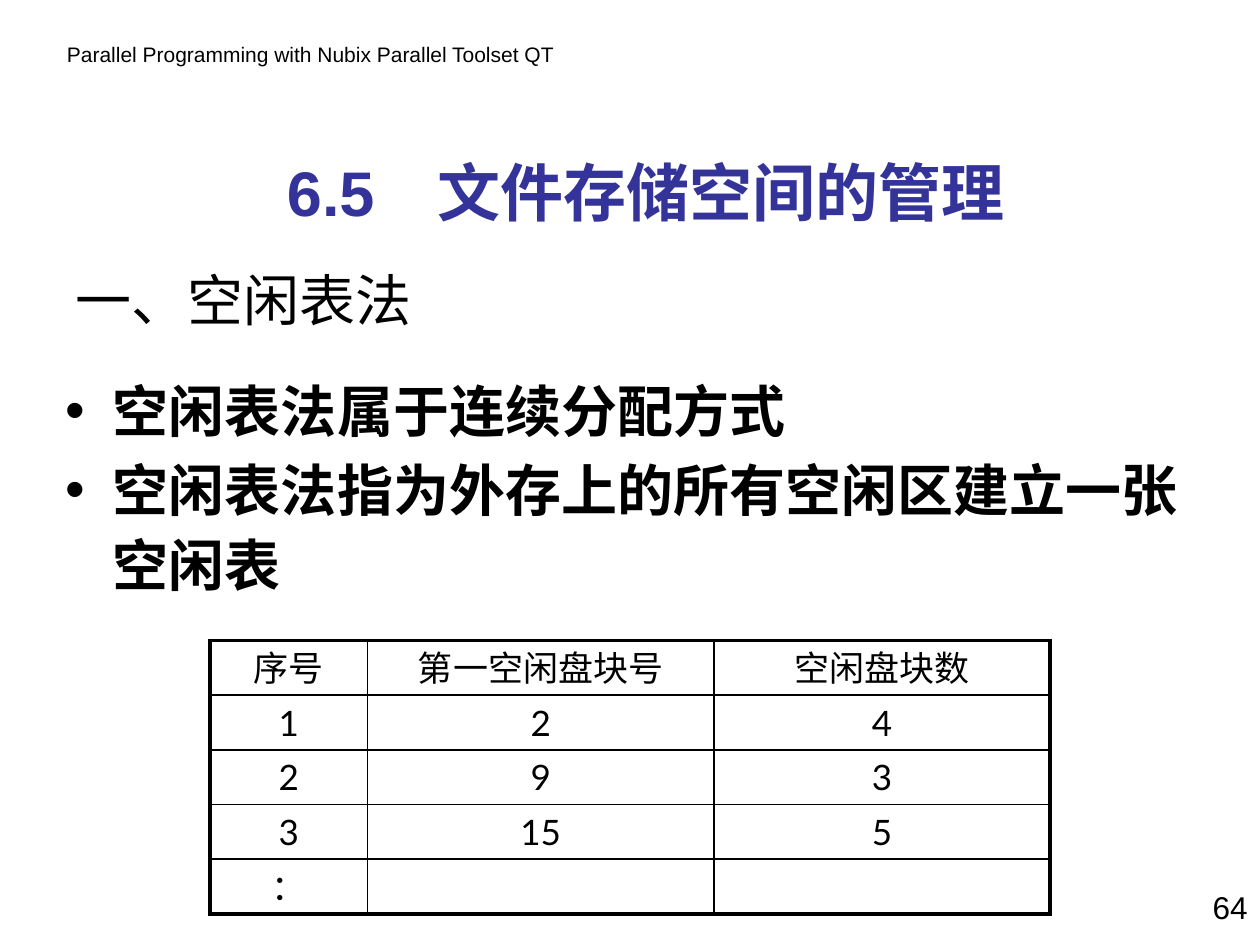
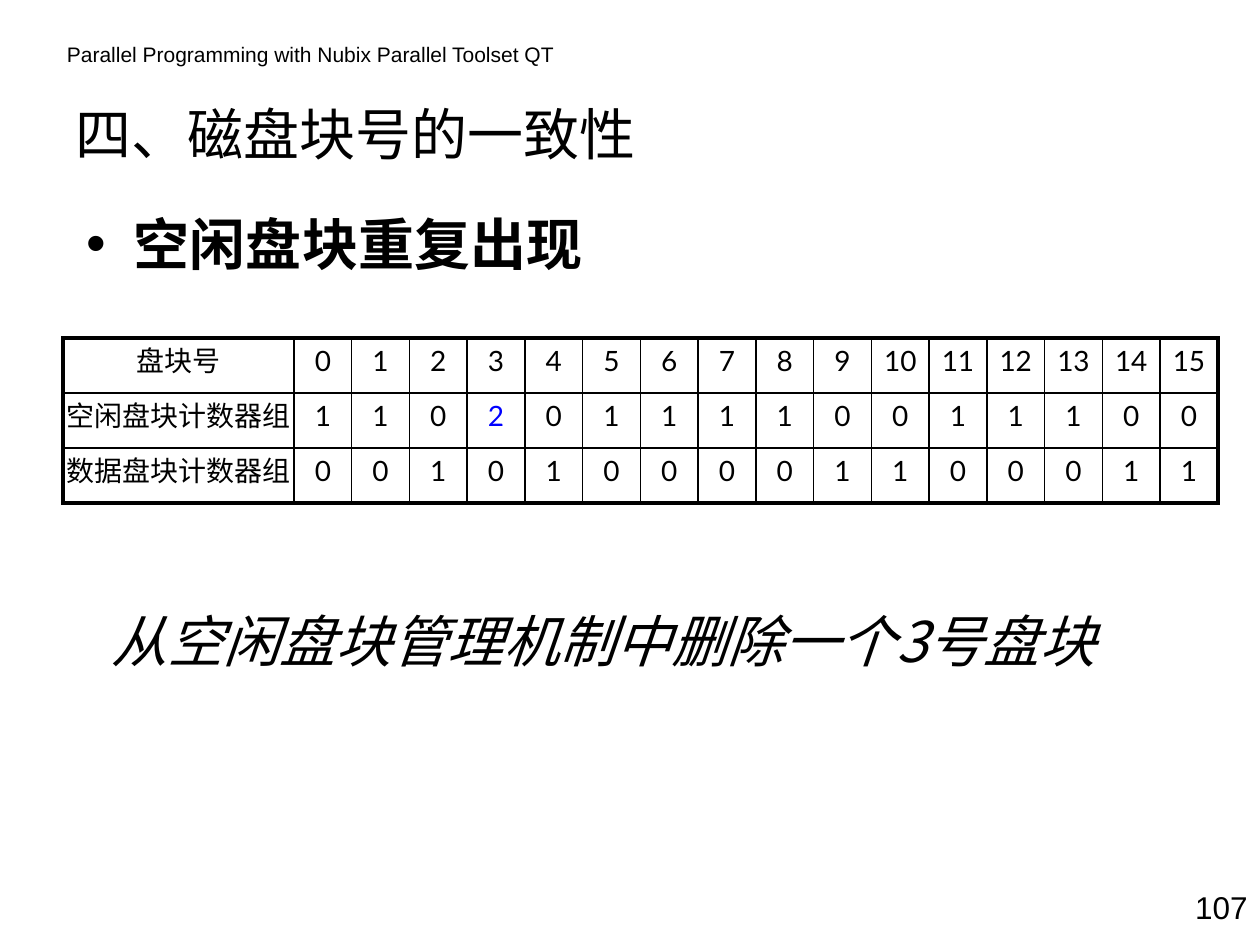
import dataclasses

import lxml.etree
import pptx
import pptx.dml.color
import pptx.enum.text
import pptx.oxml.ns
import pptx.util

Pt = pptx.util.Pt
Align = pptx.enum.text.PP_ALIGN
Anchor = pptx.enum.text.MSO_ANCHOR
qn = pptx.oxml.ns.qn

CELL = pptx.util.Inches(1) // 12  # the slide is a grid of 120 columns by 90 rows


@dataclasses.dataclass(frozen=True)
class Theme:
    ink: str = "000000"
    head: str = "333399"
    mark: str = "0000FF"
    sans: str = "Arial"
    grid: str = "Lato"
    han: str = "Noto Sans CJK SC"
    note: int = 12
    page: int = 18
    main: int = 32
    big: int = 36
    lead: int = 43
    thin: float = 1
    thick: float = 2.25


THEME = Theme()


def span(box):
    """Turn grid columns and rows into slide lengths."""
    return [round(n * CELL) for n in box]


def place(shape, box):
    shape.left, shape.top, shape.width, shape.height = span(box)


def write(para, text, size, face, ink=THEME.ink, east=None, bold=False, slant=False):
    """Add one run, with a face for Latin and one for Chinese."""
    run = para.add_run()
    run.text = text
    font = run.font
    font.size, font.name, font.bold, font.italic = Pt(size), face, bold, slant
    font.color.rgb = pptx.dml.color.RGBColor.from_string(ink)
    tag = lxml.etree.Element(qn("a:ea"), typeface=east or face)
    run._r.rPr.find(qn("a:latin")).addnext(tag)


def label(slide, box, text, size, align=Align.LEFT, **look):
    frame = slide.shapes.add_textbox(*span(box)).text_frame
    frame.word_wrap = True
    para = frame.paragraphs[0]
    para.alignment = align
    write(para, text, size, THEME.sans, east=THEME.han, **look)


def topic(slide, box, text):
    shape = slide.shapes.title
    place(shape, box)
    frame = shape.text_frame
    frame.vertical_anchor = Anchor.MIDDLE
    para = frame.paragraphs[0]
    para.alignment = Align.LEFT
    write(para, text, THEME.main, THEME.han)


def points(slide, box, items, remark=None):
    """Fill the body with bold bullets and an optional slanted remark."""
    shape = slide.placeholders[1]
    place(shape, box)
    frame = shape.text_frame
    frame.auto_size = pptx.enum.text.MSO_AUTO_SIZE.NONE
    frame.margin_top = pptx.util.Inches(0.09)
    lines = [(text, True) for text in items]
    if remark:
        lines.append((remark, False))
    for i, (text, dot) in enumerate(lines):
        para = frame.add_paragraph() if i else frame.paragraphs[0]
        props = para._p.get_or_add_pPr()
        props.set("marL", str(pptx.util.Inches(0.38)))
        props.set("indent", str(pptx.util.Inches(-0.38 if dot else -0.18)))
        if dot:
            lxml.etree.SubElement(props, qn("a:buFont"), typeface=THEME.sans)
            lxml.etree.SubElement(props, qn("a:buChar"), char="•")
        else:
            lxml.etree.SubElement(props, qn("a:buNone"))
        para.line_spacing = Pt(THEME.lead)
        para.space_before = Pt((2 if dot else 184) if i else 0)
        write(para, text, THEME.main, THEME.han, bold=dot, slant=not dot)


def edge(cell, sides):
    """Draw the four sides, given as thick (True) or thin (False)."""
    props = cell._tc.get_or_add_tcPr()
    for i, (side, thick) in enumerate(zip("LRTB", sides)):
        width = Pt(THEME.thick if thick else THEME.thin)
        line = lxml.etree.Element(qn(f"a:ln{side}"), w=str(width))
        fill = lxml.etree.SubElement(line, qn("a:solidFill"))
        lxml.etree.SubElement(fill, qn("a:srgbClr"), val=THEME.ink)
        props.insert(i, line)


def sheet(slide, box, cols, data, size, pad=0.1, marks=()):
    """Place a ruled table; cells listed in marks get the accent colour."""
    high, wide = len(data), len(cols)
    table = slide.shapes.add_table(high, wide, *span(box)).table
    table.first_row = table.horz_banding = False
    for col, share in zip(table.columns, cols):
        col.width = round(box[2] * CELL * share / sum(cols))
    for row, texts in enumerate(data):
        table.rows[row].height = round(box[3] * CELL / high)
        for col, text in enumerate(texts):
            cell = table.cell(row, col)
            cell.fill.background()
            cell.margin_left = cell.margin_right = pptx.util.Inches(pad)
            edge(cell, (col == 0, col == wide - 1, row == 0, row == high - 1))
            para = cell.text_frame.paragraphs[0]
            para.alignment = Align.CENTER
            if text:
                ink = THEME.mark if (row, col) in marks else THEME.ink
                write(para, text, size, THEME.grid, ink)


def start(deck, page):
    """Add a slide with the running head and its page number."""
    slide = deck.slides.add_slide(deck.slide_layouts[1])
    label(slide, (5.2, 3.4, 49.2, 3.6),
          "Parallel Programming with Nubix Parallel Toolset QT", THEME.note)
    wide = 2 + 2 * len(page) + 2
    label(slide, (120 - wide, 84, wide, 6), page, THEME.page, Align.RIGHT)
    return slide


def free_list(deck):
    slide = start(deck, "64")
    label(slide, (6, 14, 111, 8.4), "6.5　文件存储空间的管理", THEME.big,
          Align.CENTER, ink=THEME.head, bold=True)
    topic(slide, (6, 24, 61, 9), "一、空闲表法")
    points(slide, (5, 34, 112, 54),
           ["空闲表法属于连续分配方式", "空闲表法指为外存上的所有空闲区建立一张空闲表"])
    data = [
        ("序号", "第一空闲盘块号", "空闲盘块数"),
        ("1", "2", "4"),
        ("2", "9", "3"),
        ("3", "15", "5"),
        ("：", "", ""),
    ]
    sheet(slide, (20, 61, 80, 26), (15, 33, 32), data, 20)


def block_check(deck):
    slide = start(deck, "107")
    topic(slide, (6, 8.2, 86, 9), "四、磁盘块号的一致性")
    points(slide, (7, 18.1, 110, 54), ["空闲盘块重复出现"],
           "从空闲盘块管理机制中删除一个3号盘块")
    data = [
        ["盘块号", *map(str, range(16))],
        ["空闲盘块计数器组", *"1102011110011100"],
        ["数据盘块计数器组", *"0010100001100011"],
    ]
    sheet(slide, (6, 32.2, 110, 15.7), [4] + [1] * 16, data, 16,
          pad=0, marks=[(1, 4)])


def main():
    deck = pptx.Presentation()
    deck.slide_width, deck.slide_height = 120 * CELL, 90 * CELL
    free_list(deck)
    block_check(deck)
    deck.save("out.pptx")


if __name__ == "__main__":
    main()
